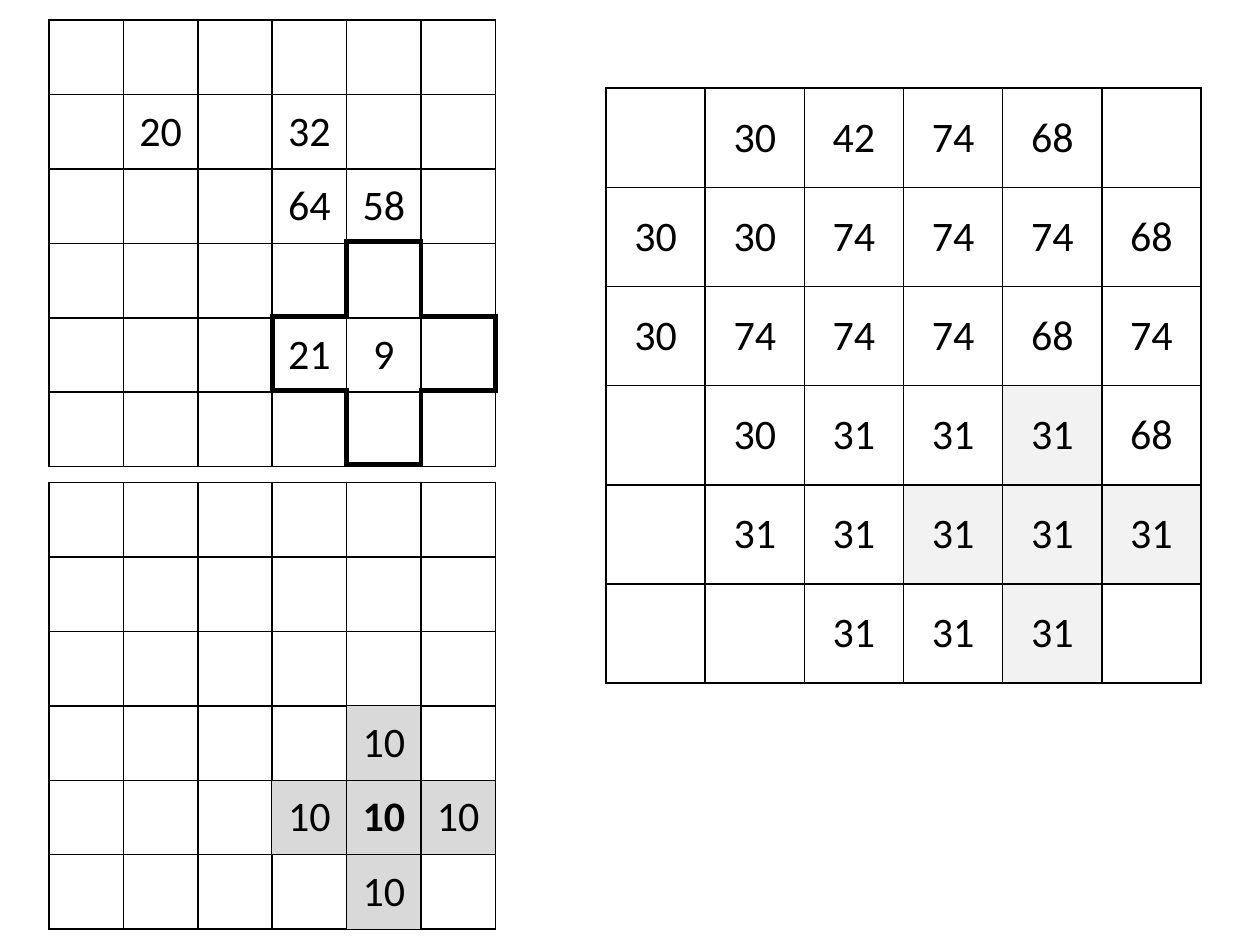
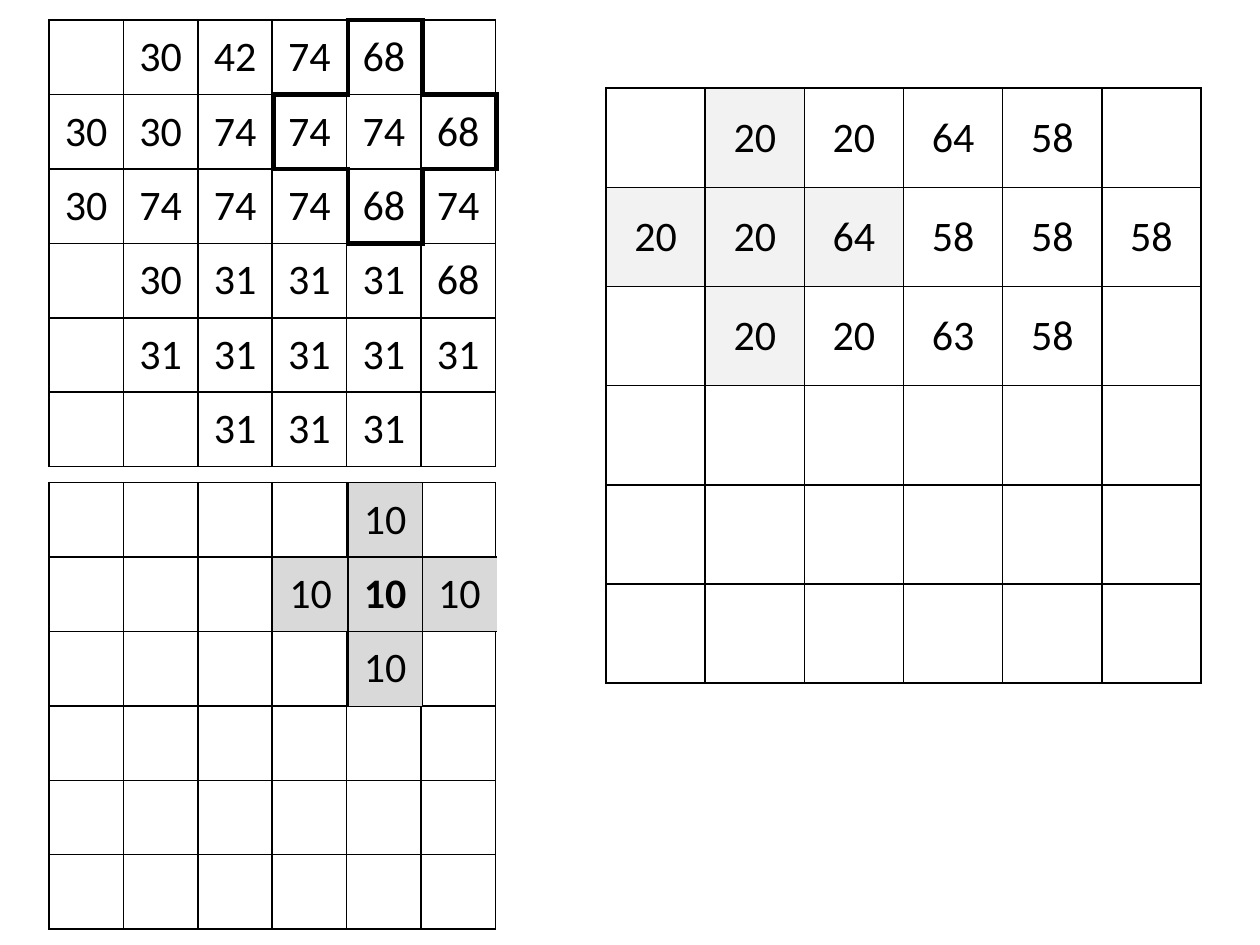
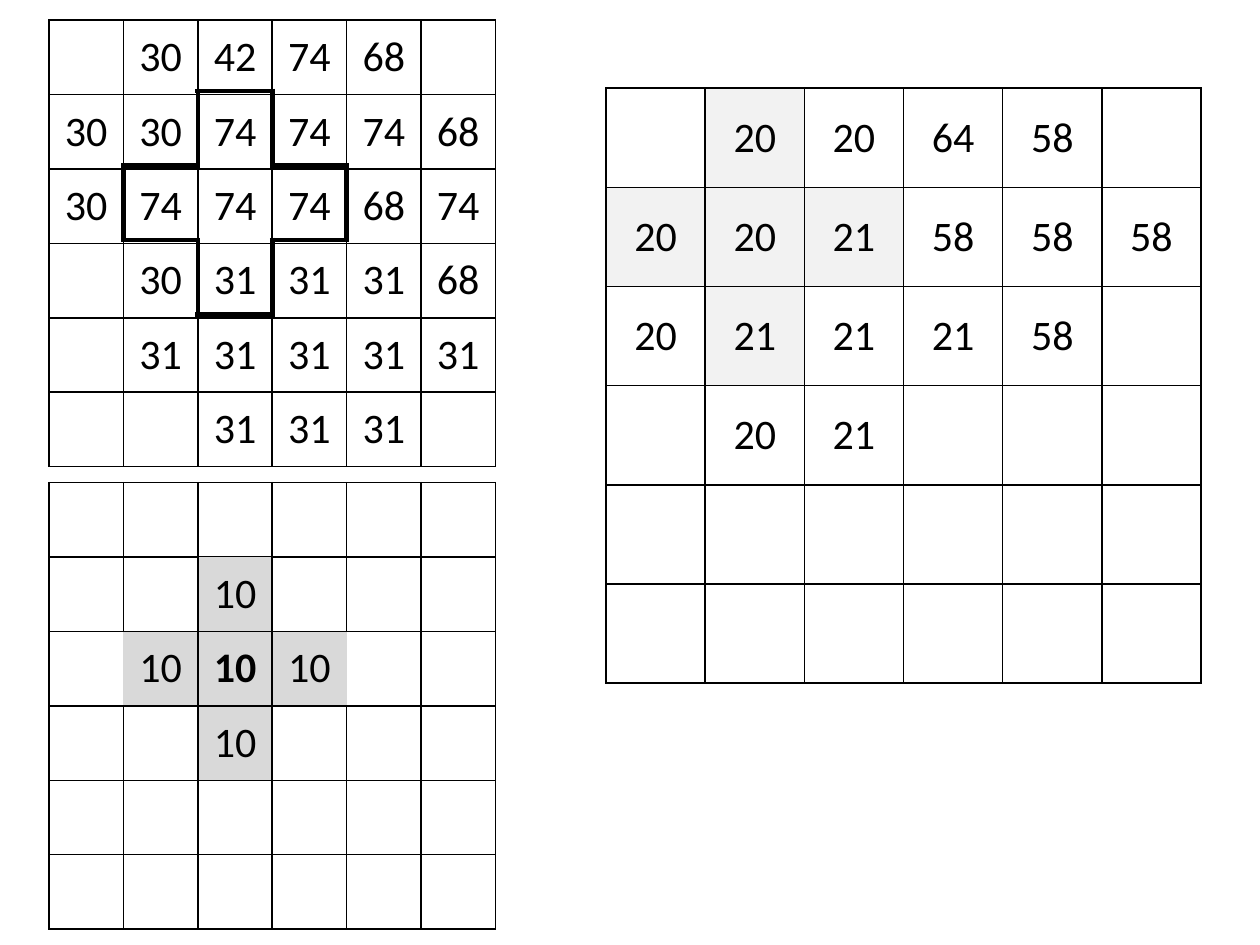
from dataclasses import dataclass

from lxml import etree
from pptx import Presentation
from pptx.dml.color import RGBColor
from pptx.enum.text import MSO_ANCHOR, PP_ALIGN
from pptx.oxml.ns import qn
from pptx.util import Pt

MIDDLE = MSO_ANCHOR.MIDDLE
CENTER = PP_ALIGN.CENTER

COLORS = {"ink": "000000", "cross": "D9D9D9", "result": "F2F2F2"}
FONT = "Calibri"
NO_GRID_STYLE = "{2D5ABB26-0587-4C30-8999-92F81FD0307C}"
THIN, THICK = 1, 3
SIDES = {"a:lnL": (0, -1), "a:lnR": (0, 1), "a:lnT": (-1, 0), "a:lnB": (1, 0)}


@dataclass(frozen=True)
class Frame:
    """Place of a square grid: corner and cell size in points."""
    left: float
    top: float
    cell: float


INPUT = Frame(28, 11.5, 42.52)
ELEMENT = Frame(28, 275.8, 42.52)
RESULT = Frame(346.3, 50.4, 56.69)


@dataclass(frozen=True)
class Step:
    """One slide: a cross laid over the input, and the result."""
    values: str
    result: str
    center: tuple[int, int]
    result_center: tuple[int, int]
    outline_shift: tuple[float, float] = (0, 0)
    shaded_shift: tuple[float, float] = (0, 0)


# Grid values, "-" for an empty cell
EMPTY = "\n".join(["- - - - - -"] * 6)
SOURCE = """- - - - - -
- 20 - 32 - -
- - - 64 58 -
- - - - - -
- - - 21 9 -
- - - - - -"""
DILATED = """- 30 42 74 68 -
30 30 74 74 74 68
30 74 74 74 68 74
- 30 31 31 31 68
- 31 31 31 31 31
- - 31 31 31 -"""
ERODED_FIRST = """- 20 20 64 58 -
20 20 64 58 58 58
- 20 20 63 58 -
- - - - - -
- - - - - -
- - - - - -"""
ERODED_LAST = """- 20 20 64 58 -
20 20 21 58 58 58
20 21 21 21 58 -
- 20 21 - - -
- - - - - -
- - - - - -"""
CROSS = "- 10 -\n10 10 10\n- 10 -"
BLANK_CROSS = "- - -\n- - -\n- - -"

STEPS = [
    Step(SOURCE, DILATED, (4, 4), (4, 4), outline_shift=(0, -1)),
    Step(DILATED, ERODED_FIRST, (1, 4), (1, 1), (0.7, 0), (0.7, 0)),
    Step(DILATED, ERODED_LAST, (2, 2), (1, 1), outline_shift=(0, -2)),
]


def distance(row: int, col: int, center: tuple[int, int]) -> int:
    return abs(row - center[0]) + abs(col - center[1])


def set_borders(cell, widths: dict[str, int]) -> None:
    """Draw each side of a cell; width 0 leaves the side empty."""
    tc_pr = cell._tc.get_or_add_tcPr()
    for tag, width in widths.items():
        ln = etree.SubElement(tc_pr, qn(tag), w=str(Pt(width)))
        if width:
            fill = etree.SubElement(ln, qn("a:solidFill"))
            etree.SubElement(fill, qn("a:srgbClr"), val=COLORS["ink"])
        else:
            etree.SubElement(ln, qn("a:noFill"))


def write_cell(cell, text: str, bold: bool) -> None:
    cell.vertical_anchor = MIDDLE
    p = cell.text_frame.paragraphs[0]
    p.text = text
    p.alignment = CENTER
    p.font.name = FONT
    p.font.size = Pt(24)
    p.font.bold = bold
    p.font.color.rgb = RGBColor.from_string(COLORS["ink"])


def add_grid(slide, frame: Frame, values: str, border, fill: str = "",
             center: tuple[int, int] = (-9, -9), bold_center: bool = False) -> None:
    """Square table; border(row, col, next_row, next_col) gives side widths."""
    rows = [line.split() for line in values.splitlines()]
    n = len(rows)
    side = Pt(frame.cell * n)
    table = slide.shapes.add_table(
        n, n, Pt(frame.left), Pt(frame.top), side, side).table
    table.first_row = table.horz_banding = False
    table._tbl.tblPr.find(qn("a:tableStyleId")).text = NO_GRID_STYLE
    for line in [*table.columns]:
        line.width = Pt(frame.cell)
    for line in table.rows:
        line.height = Pt(frame.cell)

    for r, row in enumerate(rows):
        for c, text in enumerate(row):
            cell = table.cell(r, c)
            set_borders(cell, {tag: border(r, c, r + dr, c + dc)
                               for tag, (dr, dc) in SIDES.items()})
            away = distance(r, c, center)
            if fill and away <= 1:
                cell.fill.solid()
                cell.fill.fore_color.rgb = RGBColor.from_string(COLORS[fill])
            else:
                cell.fill.background()
            if text != "-":
                write_cell(cell, text, bold_center and away == 0)


def full_border(r: int, c: int, next_r: int, next_c: int) -> int:
    return THIN


def inner_border(r: int, c: int, next_r: int, next_c: int) -> int:
    return THIN if 0 <= next_r < 3 and 0 <= next_c < 3 else 0


def cross_border(r: int, c: int, next_r: int, next_c: int) -> int:
    """Thick where an arm of the cross meets what lies outside it."""
    pair = {distance(r, c, (1, 1)), distance(next_r, next_c, (1, 1))}
    return THICK if pair == {1, 2} else 0


def cross_frame(grid: Frame, center: tuple[int, int],
                shift: tuple[float, float]) -> Frame:
    row, col = center
    return Frame(grid.left + (col - 1) * grid.cell + shift[0],
                 grid.top + (row - 1) * grid.cell + shift[1], grid.cell)


def add_step(prs, step: Step) -> None:
    slide = prs.slides.add_slide(prs.slide_layouts[6])
    # Result on the right
    add_grid(slide, RESULT, step.result, full_border, "result", step.result_center)
    # Structuring element below
    add_grid(slide, ELEMENT, EMPTY, full_border)
    add_grid(slide, cross_frame(ELEMENT, step.center, step.shaded_shift),
             CROSS, inner_border, "cross", (1, 1), bold_center=True)
    # Input values with the outlined cross
    add_grid(slide, INPUT, step.values, full_border)
    add_grid(slide, cross_frame(INPUT, step.center, step.outline_shift),
             BLANK_CROSS, cross_border)


def main() -> None:
    prs = Presentation()
    prs.slide_width, prs.slide_height = Pt(720), Pt(540)
    for step in STEPS:
        add_step(prs, step)
    prs.save("out.pptx")


if __name__ == "__main__":
    main()
